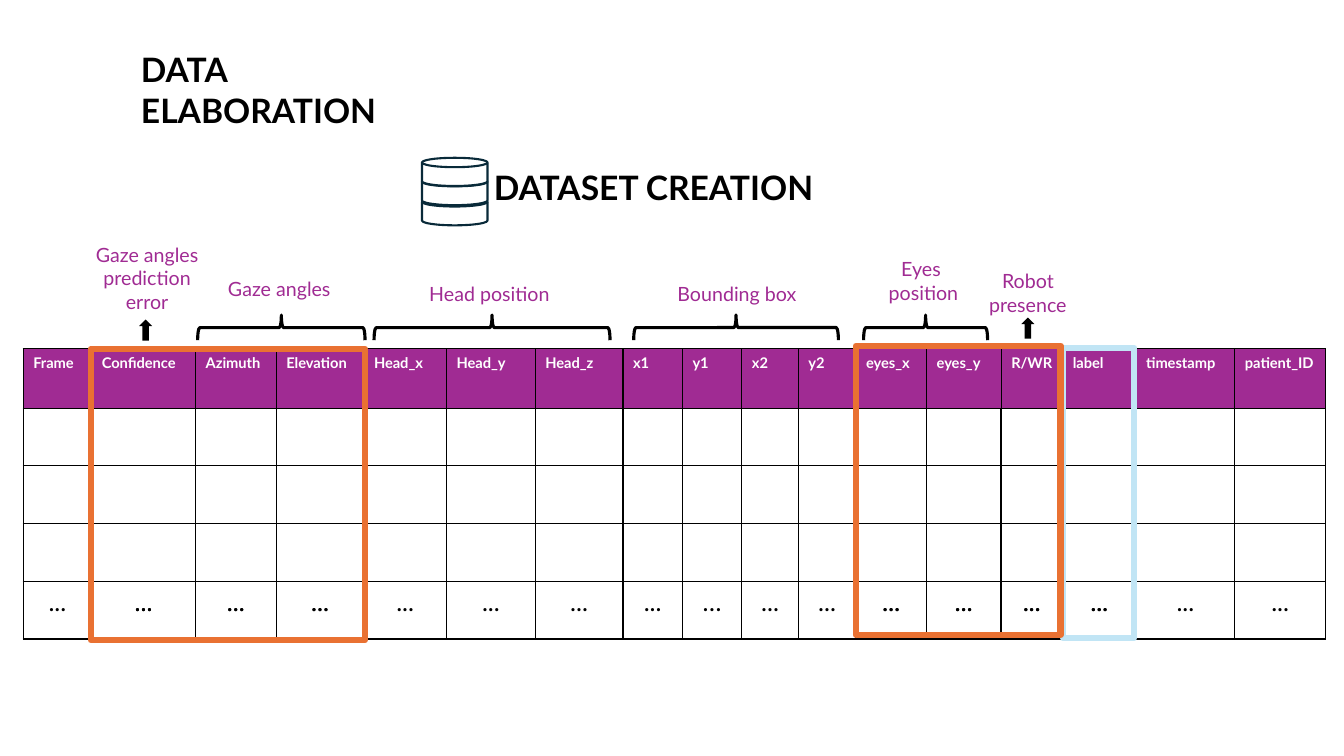
"""Build the dataset creation slide with its annotated feature table."""
import pptx
import pptx.util
import pptx.dml.color
import pptx.enum.shapes
import pptx.enum.text
import pptx.oxml
import pptx.oxml.ns

Inches = pptx.util.Inches
SHAPE = pptx.enum.shapes.MSO_SHAPE
ALIGN = pptx.enum.text.PP_ALIGN

COLORS = {
    "black": "000000",
    "white": "FFFFFF",
    "purple": "A02B93",
    "orange": "E97132",
    "light_blue": "C1E5F5",
    "navy": "092A39",
}
COLUMNS = [
    ("Frame", 0.68), ("Confidence", 1.03), ("Azimuth", 0.8), ("Elevation", 0.87),
    ("Head_x", 0.82), ("Head_y", 0.88), ("Head_z", 0.87),
    ("x1", 0.59), ("y1", 0.59), ("x2", 0.56), ("y2", 0.57),
    ("eyes_x", 0.7), ("eyes_y", 0.74), ("R/WR", 0.61),
    ("label", 0.73), ("timestamp", 0.98), ("patient_ID", 0.9),
]
TABLE_LEFT, TABLE_TOP, TABLE_HEIGHT = 0.23, 3.46, 2.88
HEADER_HEIGHT = 0.59
ROW_COUNT = 5
BRACE_MIDDLE, BRACE_DEPTH = 3.25, 0.25
ARROW_WIDTH, ARROW_HEIGHT = 0.13, 0.21


def rgb(name):
    return pptx.dml.color.RGBColor.from_string(COLORS[name])


def add_run(paragraph, text, size, color, bold=False):
    run = paragraph.add_run()
    run.text = text
    run.font.name = "Lato"
    run.font.size = pptx.util.Pt(size)
    run.font.bold = bold
    run.font.color.rgb = rgb(color)


def add_text(shapes, box, lines, size, color, bold=False, align=ALIGN.LEFT):
    frame = shapes.add_textbox(*map(Inches, box)).text_frame
    frame.word_wrap = True
    frame.auto_size = pptx.enum.text.MSO_AUTO_SIZE.SHAPE_TO_FIT_TEXT
    for index, line in enumerate(lines):
        paragraph = frame.add_paragraph() if index else frame.paragraphs[0]
        paragraph.alignment = align
        add_run(paragraph, line, size, color, bold)


def add_shape(shapes, kind, box, fill=None, line=None, weight=1, rotation=0):
    shape = shapes.add_shape(kind, *map(Inches, box))
    shape.shadow.inherit = False
    shape.rotation = rotation
    if fill:
        shape.fill.solid()
        shape.fill.fore_color.rgb = rgb(fill)
    else:
        shape.fill.background()
    if line:
        shape.line.color.rgb = rgb(line)
        shape.line.width = pptx.util.Pt(weight)
    else:
        shape.line.fill.background()


def add_borders(cell):
    properties = cell._tc.get_or_add_tcPr()
    for position, side in enumerate(("lnL", "lnR", "lnT", "lnB")):
        properties.insert(position, pptx.oxml.parse_xml(
            f'<a:{side} {pptx.oxml.ns.nsdecls("a")} w="12700"><a:solidFill>'
            f'<a:srgbClr val="{COLORS["black"]}"/></a:solidFill></a:{side}>'))


def add_feature_table(shapes, first, last):
    """Draw the columns from first up to, but not including, last."""
    columns = COLUMNS[first:last]
    left = TABLE_LEFT + sum(width for _, width in COLUMNS[:first])
    total_width = sum(width for _, width in columns)
    table = shapes.add_table(
        ROW_COUNT, len(columns), Inches(left), Inches(TABLE_TOP),
        Inches(total_width), Inches(TABLE_HEIGHT)).table
    table.horz_banding = False
    body_height = (TABLE_HEIGHT - HEADER_HEIGHT) / (ROW_COUNT - 1)
    for index, row in enumerate(table.rows):
        row.height = Inches(body_height if index else HEADER_HEIGHT)
    for index, (name, width) in enumerate(columns):
        table.columns[index].width = Inches(width)
        for row in range(ROW_COUNT):
            cell = table.cell(row, index)
            cell.fill.background()
            add_borders(cell)
        header = table.cell(0, index)
        header.fill.solid()
        header.fill.fore_color.rgb = rgb("purple")
        add_run(header.text_frame.paragraphs[0], name, 10.5, "white", True)
        paragraph = table.cell(ROW_COUNT - 1, index).text_frame.paragraphs[0]
        paragraph.alignment = ALIGN.CENTER
        add_run(paragraph, "…" if name == "y1" else "...", 18, "black")


def add_brace_label(slide, lines, box, center, span):
    shapes = slide.shapes.add_group_shape().shapes
    brace = (center - BRACE_DEPTH / 2, BRACE_MIDDLE - span / 2, BRACE_DEPTH, span)
    add_shape(shapes, SHAPE.LEFT_BRACE, brace, line="black", weight=2.25, rotation=90)
    add_text(shapes, box, lines, 14, "purple", align=ALIGN.CENTER)


def add_arrow_label(slide, text, box, left, top):
    shapes = slide.shapes.add_group_shape().shapes
    add_text(shapes, box, [text], 14, "purple", align=ALIGN.CENTER)
    arrow = (left, top, ARROW_WIDTH, ARROW_HEIGHT)
    add_shape(shapes, SHAPE.UP_ARROW, arrow, fill="black")


def add_database_icon(shapes):
    for top in (1.77, 1.57, 1.38):
        add_shape(shapes, SHAPE.FLOWCHART_DIRECT_ACCESS_STORAGE,
                  (4.37, top, 0.28, 0.65), "white", "navy", 1.5, 270)


def add_highlight(shapes, box, color):
    add_shape(shapes, SHAPE.RECTANGLE, box, line=color, weight=4.5)


def main():
    presentation = pptx.Presentation()
    presentation.slide_width = Inches(13.33)
    presentation.slide_height = Inches(7.5)
    slide = presentation.slides.add_slide(presentation.slide_layouts[6])
    shapes = slide.shapes

    add_text(shapes, (1.3, 0.44, 3.37, 0.5), ["DATA ELABORATION"], 24, "black", True)
    add_feature_table(shapes, 0, len(COLUMNS))

    add_brace_label(slide, ["Bounding box"], (6.26, 2.75, 2.1, 0.34), 7.3, 2.03)
    add_arrow_label(slide, "Robot presence", (9.62, 2.62, 1.15, 0.57), 10.13, 3.15)
    add_brace_label(slide, ["Head position "], (3.83, 2.75, 2.1, 0.34), 4.88, 2.34)
    add_brace_label(slide, ["Gaze angles "], (2.07, 2.7, 1.45, 0.34), 2.79, 1.66)
    add_brace_label(slide, ["Eyes ", "position"], (8.11, 2.5, 2.1, 0.57), 9.18, 1.23)
    add_arrow_label(slide, "Gaze angles prediction error",
                    (0.73, 2.36, 1.46, 0.81), 1.38, 3.17)

    add_text(shapes, (4.8, 1.61, 3.54, 0.5), ["DATASET CREATION"], 24, "black", True)
    add_feature_table(shapes, 1, 4)
    add_highlight(shapes, (0.9, 3.46, 2.72, 2.89), "orange")
    add_feature_table(shapes, 11, 14)
    add_feature_table(shapes, 14, 15)
    add_highlight(shapes, (10.54, 3.45, 0.71, 2.88), "light_blue")
    add_highlight(shapes, (8.49, 3.43, 2.03, 2.87), "orange")
    add_database_icon(shapes)

    presentation.save("out.pptx")


if __name__ == "__main__":
    main()
